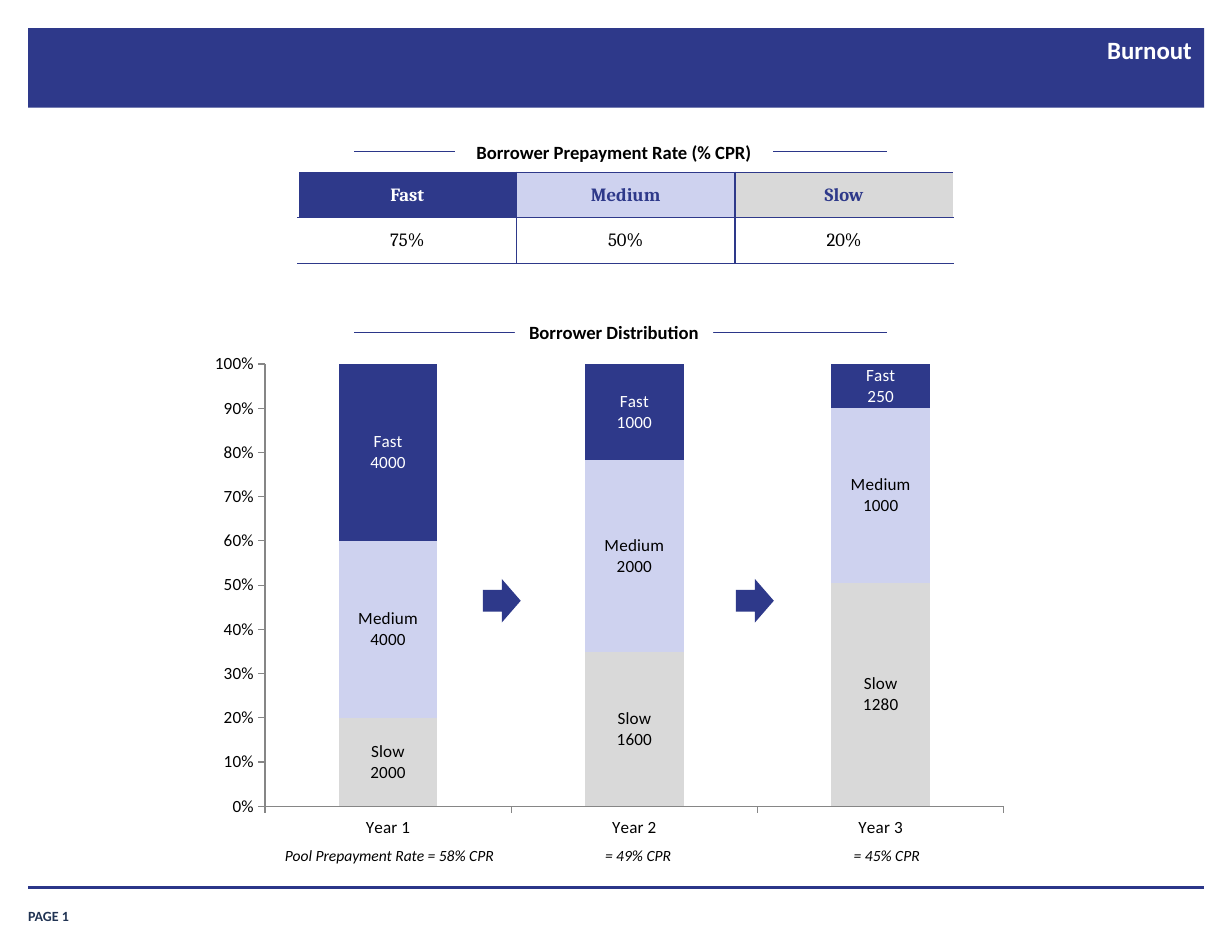
from lxml import etree
from pptx import Presentation
from pptx import util as u
from pptx.chart.data import CategoryChartData
from pptx.dml.color import RGBColor
from pptx.enum import chart as ch, shapes, text
from pptx.oxml import parse_xml
from pptx.oxml.ns import nsdecls, qn

NAVY, RULE, PALE, GREY = "2E398A", "2B3689", "CED2EF", "D9D9D9"
BLACK, WHITE = "000000", "FFFFFF"
MID, RIGHT, LEFT = text.PP_ALIGN.CENTER, text.PP_ALIGN.RIGHT, text.PP_ALIGN.LEFT


def rgb(code):
    return RGBColor.from_string(code)


def cm(*nums):
    return [u.Cm(n) for n in nums]


def style(font, size, color, bold=False, slant=False, face="Calibri"):
    font.name, font.size = face, u.Pt(size)
    font.bold, font.italic = bold, slant
    font.color.rgb = rgb(color)


def write(frame, words, size, color, align=MID, pad=(0.25, 0.13), **look):
    frame.text = words
    frame.word_wrap = True
    frame.margin_left = frame.margin_right = u.Cm(pad[0])
    frame.margin_top = frame.margin_bottom = u.Cm(pad[1])
    para = frame.paragraphs[0]
    para.alignment = align
    style(para.runs[0].font, size, color, **look)


def block(slide, box, color, kind=shapes.MSO_SHAPE.RECTANGLE):
    shape = slide.shapes.add_shape(kind, *cm(*box))
    shape.shadow.inherit = False
    shape.fill.solid()
    shape.fill.fore_color.rgb = rgb(color)
    shape.line.fill.background()
    return shape


def rule(slide, left, right, y, width):
    line = slide.shapes.add_connector(
        shapes.MSO_CONNECTOR.STRAIGHT, *cm(left, y, right, y))
    line.line.color.rgb = rgb(RULE)
    line.line.width = u.Pt(width)
    etree.SubElement(line._element.spPr, qn("a:effectLst"))


def header(slide, box, words):
    band = block(slide, box, NAVY)
    slide.shapes._spTree.insert(2, band._element)
    left, top, width, height = box
    title = slide.shapes.title
    title.left, title.top, title.width, title.height = cm(
        left + 7.8, top, width - 7.8, height)
    write(title.text_frame, words, 16, WHITE, RIGHT, (0.28, 0.15), bold=True)
    title.text_frame.vertical_anchor = text.MSO_ANCHOR.TOP


def footer(slide, box, words):
    left, top, width, height = box
    rule(slide, left, left + width, top, 2)
    label = slide.shapes.add_textbox(*cm(left, top + 0.25, 2.31, height - 0.25))
    write(label.text_frame, words, 9, "203353", LEFT, (0, 0), bold=True)
    label.text_frame.vertical_anchor = text.MSO_ANCHOR.BOTTOM


def heading(slide, box, words, width):
    left, top, span, height = box
    rule(slide, left, left + span, top + height / 2, 0.75)
    plate = block(slide, (left + (span - width) / 2 - 0.15, top, width, height), WHITE)
    write(plate.text_frame, words, 12, BLACK, bold=True)
    plate.text_frame.vertical_anchor = text.MSO_ANCHOR.MIDDLE


def border(cell, sides):
    props = cell._tc.get_or_add_tcPr()
    for side, color in zip("LRTB", sides):
        props.append(parse_xml(
            f'<a:ln{side} {nsdecls("a")} w="12700"><a:solidFill>'
            f'<a:srgbClr val="{color}"/></a:solidFill></a:ln{side}>'))


def rates(slide, box, cols):
    table = slide.shapes.add_table(2, len(cols), *cm(*box)).table
    table.first_row = table.horz_banding = False
    last = len(cols) - 1
    for c, (name, rate, fill, ink) in enumerate(cols):
        for r, words in enumerate((name, rate)):
            cell = table.cell(r, c)
            border(cell, (NAVY if c else WHITE, NAVY if c < last else WHITE,
                          NAVY, NAVY))
            if r:
                cell.fill.background()
            else:
                cell.fill.solid()
                cell.fill.fore_color.rgb = rgb(fill)
            write(cell.text_frame, words, 12, BLACK if r else ink,
                  bold=not r, face="Cambria")
            cell.vertical_anchor = text.MSO_ANCHOR.MIDDLE


def inner(chart, x, y, w, h):
    area = chart._chartSpace.chart.plotArea
    for old in area.findall(qn("c:layout")):
        area.remove(old)
    parts = "".join(f'<c:{k} val="{v}"/>' for k, v in
                    (("xMode", "edge"), ("yMode", "edge"),
                     ("x", x), ("y", y), ("w", w), ("h", h)))
    area.insert(0, parse_xml(
        f'<c:layout {nsdecls("c")}><c:manualLayout>'
        f'<c:layoutTarget val="inner"/>{parts}</c:manualLayout></c:layout>'))


def bars(slide, box, years, groups):
    data = CategoryChartData()
    data.categories = years
    for name, vals, *_ in groups:
        data.add_series(name, vals)
    chart = slide.shapes.add_chart(
        ch.XL_CHART_TYPE.COLUMN_STACKED_100, *cm(*box), data).chart
    chart.has_legend = chart.has_title = False
    style(chart.font, 11, BLACK)
    inner(chart, 0.08, 0.04, 0.9, 0.88)
    for axis in (chart.category_axis, chart.value_axis):
        axis.has_major_gridlines = False
        axis.major_tick_mark = ch.XL_TICK_MARK.OUTSIDE
        axis.format.line.color.rgb = rgb("868686")
    ticks = chart.value_axis.tick_labels
    ticks.number_format, ticks.number_format_is_linked = "0%", False
    chart.value_axis.maximum_scale = 1
    chart.value_axis.major_unit = 0.1
    plot = chart.plots[0]
    plot.gap_width, plot.overlap = 150, 100
    plot.vary_by_categories = False
    for part, (_, _, fill, ink) in zip(plot.series, groups):
        part.format.fill.solid()
        part.format.fill.fore_color.rgb = rgb(fill)
        tags = part.data_labels
        tags.show_value = tags.show_series_name = True
        style(tags.font, 11, ink)
        gap = parse_xml(f'<c:separator {nsdecls("c")}>\n</c:separator>')
        tags._element.find(qn("c:showBubbleSize")).addnext(gap)


def arrows(slide, box, step, count):
    left, top, width, height = box
    for i in range(count):
        block(slide, (left + i * step, top, width, height), NAVY,
              shapes.MSO_SHAPE.RIGHT_ARROW)


def notes(slide, box, step, lines):
    left, top, width, height = box
    for i, words in enumerate(lines):
        note = slide.shapes.add_textbox(*cm(left + i * step, top, width, height))
        write(note.text_frame, words, 10, BLACK, slant=True)


def main():
    deck = Presentation()
    deck.slide_width, deck.slide_height = cm(27.94, 21.59)
    slide = deck.slides.add_slide(deck.slide_layouts[5])
    header(slide, (0.64, 0.64, 26.67, 1.8), "Burnout")
    footer(slide, (0.64, 20.12, 26.67, 0.84), "PAGE 1")
    bars(slide, (4.52, 7.8, 18.62, 11.4), ("Year 1", "Year 2", "Year 3"), (
        ("Slow", (2000, 1600, 1280), GREY, BLACK),
        ("Medium", (4000, 2000, 1000), PALE, BLACK),
        ("Fast", (4000, 1000, 250), NAVY, WHITE)))
    arrows(slide, (10.95, 13.13, 0.86, 0.99), 5.74, 2)
    rates(slide, (6.76, 3.91, 14.86, 2.06), (
        ("Fast", "75%", NAVY, WHITE),
        ("Medium", "50%", PALE, NAVY),
        ("Slow", "20%", GREY, NAVY)))
    heading(slide, (8.03, 3.06, 12.09, 0.76), "Borrower Prepayment Rate (% CPR)", 7.21)
    heading(slide, (8.03, 7.16, 12.09, 0.76), "Borrower Distribution", 4.5)
    notes(slide, (5.26, 19.05, 7.14, 0.69), 5.64, (
        "Pool Prepayment Rate = 58% CPR", "= 49% CPR", "= 45% CPR"))
    deck.save("out.pptx")


if __name__ == "__main__":
    main()
